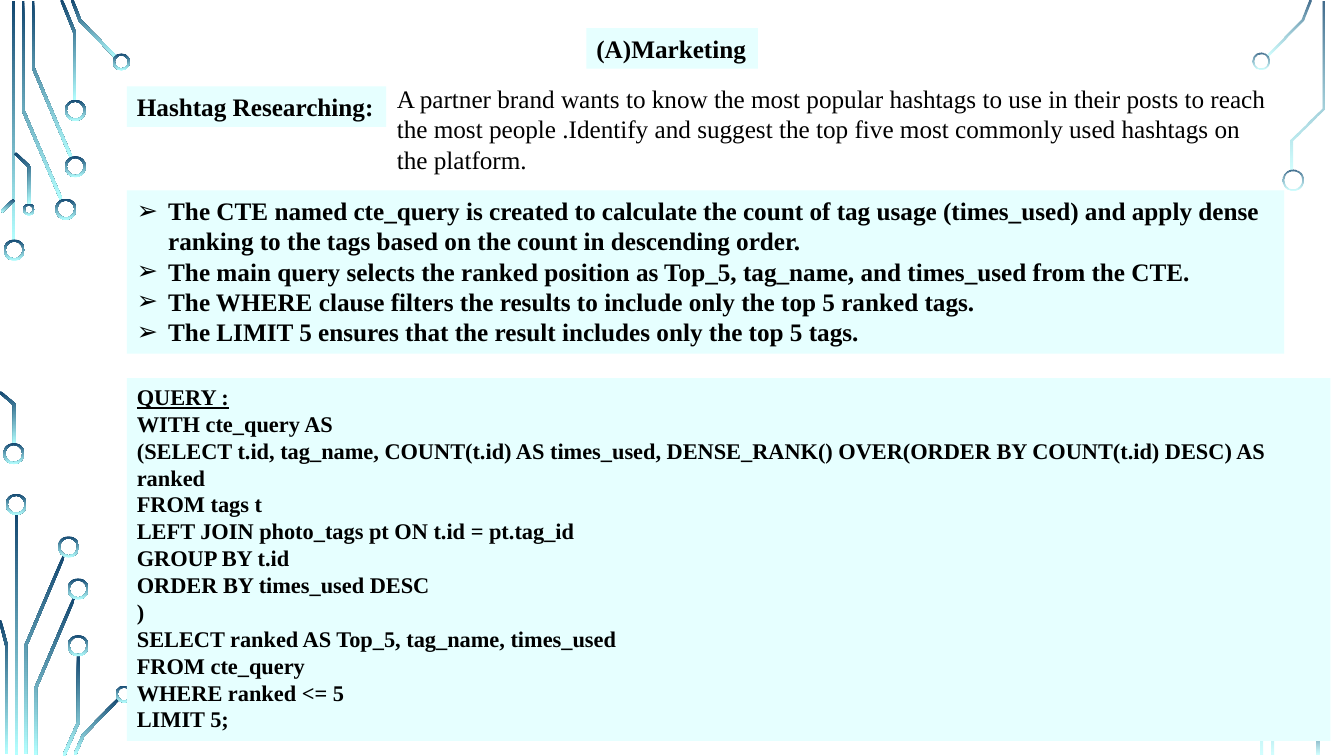
from itertools import pairwise
from math import hypot

from lxml.etree import SubElement
from pptx import Presentation
from pptx.dml.color import RGBColor
from pptx.enum.shapes import MSO_SHAPE
from pptx.enum.text import MSO_ANCHOR, MSO_AUTO_SIZE
from pptx.oxml.ns import qn
from pptx.util import Cm, Pt

NAVY = RGBColor(0x13, 0x47, 0x70)
AQUA = RGBColor(0xB4, 0xFF, 0xFF)
PALE = RGBColor(0xE6, 0xFF, 0xFF)
BLACK = RGBColor(0, 0, 0)

FONT = "Times New Roman"
TRACE = 0.07  # trace width, cm
RIM = 0.05  # ring wall, cm
BIG, MID, TINY = 0.53, 0.43, 0.3  # ring diameters, cm
SOLID, FAINT = (100, 100), (80, 60)  # opacity of the two gradient stops

LEFT_TRACES = [
    [(0.34, 0.03), (0.34, 6.1)],
    [(0.58, 0.03), (0.58, 2.77), (1.55, 5.04)],
    [(0.83, 0.03), (0.83, 1.69), (1.8, 3.98)],
    [(1.55, 0), (1.89, 0.84), (1.89, 2.54)],
    [(1.82, 0), (2.02, 0.52), (2.93, 1.45)],
    [(0.04, 5.33), (0.36, 5.03)],
    [(0, 9.88), (0.36, 10.19), (0.36, 11.2)],
    [(0.38, 3.86), (0.74, 4.2), (0.74, 5.16)],
    [(0.42, 12.95), (0.42, 19.02)],
    [(1.61, 14.01), (0.65, 16.27), (0.65, 19)],
    [(0, 15.63), (0.17, 16.28), (0.17, 19)],
    [(1.87, 15.07), (0.9, 17.34), (0.9, 19.02)],
    [(1.97, 16.51), (1.97, 18.21), (1.61, 19.04)],
    [(3, 17.6), (2.1, 18.52), (1.89, 19.01)],
]
RIGHT_TRACES = [
    [(33.03, 0), (32.83, 0.5), (31.93, 1.41)],
    [(32.84, 15.84), (32.07, 17.61), (32.07, 19.02)],
    [(33.34, 0.03), (33.34, 2.73), (32.56, 3.52), (32.56, 4.29)],
    [(32.6, 14.02), (32.6, 14.82), (31.81, 15.58), (31.81, 19.02)],
    [(33.21, 18.31), (33.21, 19.02)],
]
LEFT_RINGS = [
    (0.36, 6.3, BIG), (0.35, 11.43, BIG), (1.66, 5.27, BIG),
    (1.9, 4.2, BIG), (1.9, 2.78, BIG), (3.06, 1.56, MID),
    (0.73, 5.28, TINY), (0.41, 12.71, BIG), (1.73, 13.78, BIG),
    (1.97, 14.84, BIG), (1.97, 16.27, BIG), (3.13, 17.49, MID),
]
RIGHT_RINGS = [(31.79, 1.54, MID), (32.58, 4.54, BIG)]

BRIEF = (
    "A partner brand wants to know the most popular hashtags to use in their "
    "posts to reach the most people .Identify and suggest the top five most "
    "commonly used hashtags on the platform."
)
NOTES = [
    "The CTE named cte_query is created to calculate the count of tag usage "
    "(times_used) and apply dense ranking to the tags based on the count in "
    "descending order.",
    "The main query selects the ranked position as Top_5, tag_name, and "
    "times_used from the CTE.",
    "The WHERE clause filters the results to include only the top 5 ranked tags.",
    "The LIMIT 5 ensures that the result includes only the top 5 tags.",
]
QUERY = [
    "QUERY :",
    "WITH cte_query AS",
    "(SELECT t.id, tag_name, COUNT(t.id) AS times_used, DENSE_RANK() "
    "OVER(ORDER BY COUNT(t.id) DESC) AS ranked",
    "FROM tags t",
    "LEFT JOIN photo_tags pt ON t.id = pt.tag_id",
    "GROUP BY t.id",
    "ORDER BY times_used DESC",
    ")",
    "SELECT ranked AS Top_5, tag_name, times_used",
    "FROM cte_query",
    "WHERE ranked <= 5",
    "LIMIT 5;",
]


def outline(line):
    """Return the closed outline, in cm, of a centre line with mitred bends."""
    norms = []
    for (ax, ay), (bx, by) in pairwise(line):
        size = hypot(bx - ax, by - ay)
        norms.append(((ay - by) / size, (bx - ax) / size))
    near, far = [], []
    ends = zip(line, norms[:1] + norms, norms + norms[-1:])
    for (x, y), (px, py), (qx, qy) in ends:
        scale = TRACE / 2 / (1 + px * qx + py * qy)
        dx, dy = (px + qx) * scale, (py + qy) * scale
        near.append((x + dx, y + dy))
        far.append((x - dx, y - dy))
    return near + far[::-1]


def shade(shape, alphas):
    """Fill from navy at the top to aqua at the bottom, without an edge."""
    shape.shadow.inherit = False
    shape.line.fill.background()
    shape.fill.gradient()
    shape.fill.gradient_angle = 270
    for stop, color in zip(shape.fill.gradient_stops, (NAVY, AQUA)):
        stop.color.rgb = color
    tones = shape._element.spPr.iter(qn("a:srgbClr"))
    for tone, alpha in zip(list(tones), alphas):
        if alpha < 100:
            SubElement(tone, qn("a:alpha")).set("val", str(alpha * 1000))


def add_trace(slide, line, alphas):
    points = [(Cm(x), Cm(y)) for x, y in outline(line)]
    pen = slide.shapes.build_freeform(*points[0])
    pen.add_line_segments(points[1:], close=True)
    shade(pen.convert_to_shape(), alphas)


def add_ring(slide, x, y, size, alphas):
    half = size / 2
    ring = slide.shapes.add_shape(
        MSO_SHAPE.DONUT, Cm(x - half), Cm(y - half), Cm(size), Cm(size))
    ring.adjustments[0] = RIM / size
    shade(ring, alphas)


def add_text(slide, place, lines, size=18, bold=True, wrap=True, fill=PALE):
    box = slide.shapes.add_textbox(*map(Cm, place))
    if fill:
        box.fill.solid()
        box.fill.fore_color.rgb = fill
    frame = box.text_frame
    frame.text = "\n".join(lines)
    layout = {"word_wrap": wrap, "vertical_anchor": MSO_ANCHOR.TOP,
              "auto_size": MSO_AUTO_SIZE.SHAPE_TO_FIT_TEXT}
    for name, value in layout.items():
        setattr(frame, name, value)
    style = {"name": FONT, "size": Pt(size), "bold": bold}
    for para in frame.paragraphs:
        font = para.runs[0].font
        font.color.rgb = BLACK
        for name, value in style.items():
            setattr(font, name, value)
    return frame


def add_bullets(frame):
    for para in frame.paragraphs:
        props = para._p.get_or_add_pPr()
        props.set("marL", str(Cm(0.79)))
        props.set("indent", str(Cm(-0.79)))
        SubElement(props, qn("a:buFont")).set("typeface", "Arial")
        SubElement(props, qn("a:buChar")).set("char", "➢")


def main():
    deck = Presentation()
    deck.slide_width, deck.slide_height = Cm(33.87), Cm(19.05)
    slide = deck.slides.add_slide(deck.slide_layouts[6])

    sides = [(LEFT_TRACES, LEFT_RINGS, SOLID),
             (RIGHT_TRACES, RIGHT_RINGS, FAINT)]
    for traces, rings, alphas in sides:
        for line in traces:
            add_trace(slide, line, alphas)
        for ring in rings:
            add_ring(slide, *ring, alphas)

    add_text(slide, (14.78, 0.71, 4.32, 1.02), ["(A)Marketing"], wrap=False)
    add_text(slide, (3.2, 2.18, 6.53, 1.02), ["Hashtag Researching:"], wrap=False)
    add_text(slide, (9.75, 1.98, 22.63, 2.57), [BRIEF], bold=False, fill=None)
    add_bullets(add_text(slide, (3.2, 4.8, 29.16, 4.11), NOTES))
    query = add_text(slide, (3.2, 9.53, 30.33, 9.14), QUERY, size=16)
    query.paragraphs[0].runs[0].font.underline = True

    deck.save("out.pptx")


if __name__ == "__main__":
    main()
